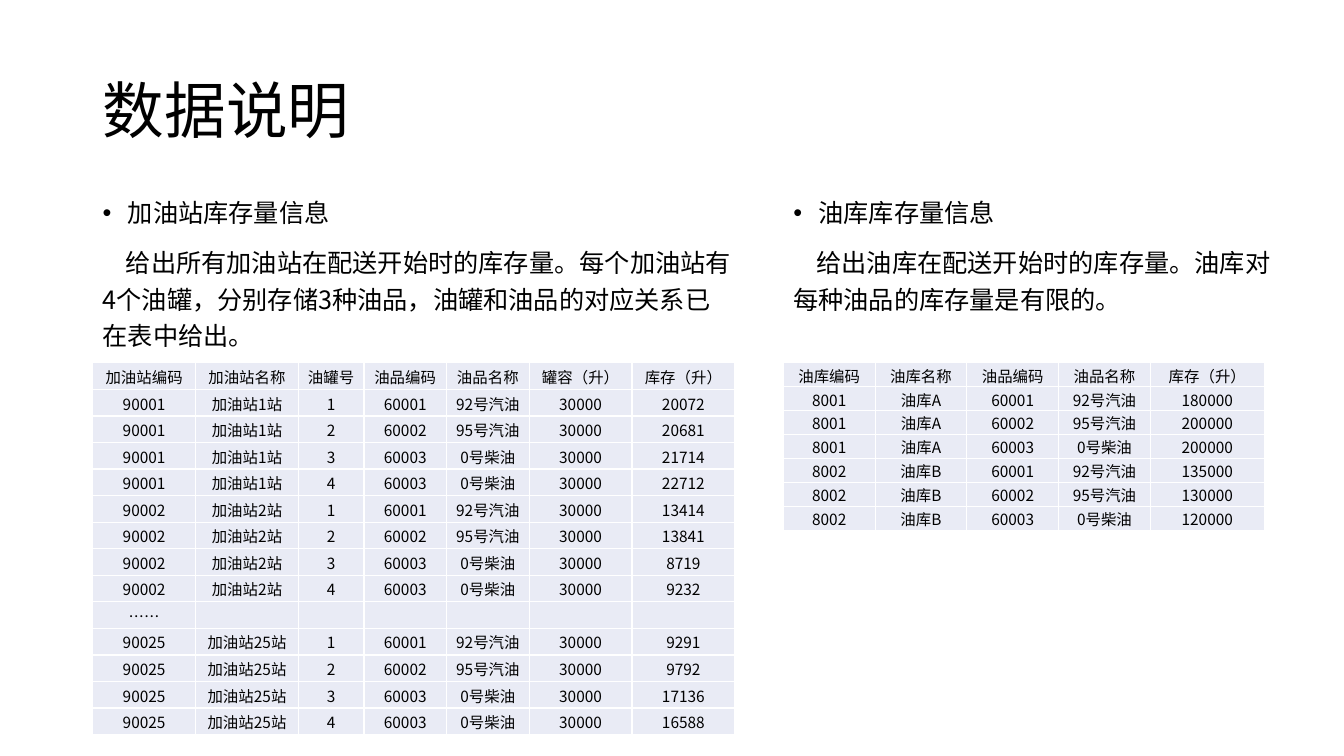
from dataclasses import dataclass

from lxml.etree import SubElement
from pptx import Presentation
from pptx.dml.color import RGBColor
from pptx.enum.text import MSO_ANCHOR, MSO_AUTO_SIZE, PP_ALIGN
from pptx.oxml.ns import qn
from pptx.slide import Slide
from pptx.table import _Cell
from pptx.text.text import _Paragraph
from pptx.util import Inches, Pt

FONT = "Noto Sans CJK SC"
BLACK = RGBColor(0x00, 0x00, 0x00)
WHITE = RGBColor(0xFF, 0xFF, 0xFF)
CELL_FILL = RGBColor(0xE9, 0xEB, 0xF5)
TEXT_TOP = 1.85
TABLE_TOP = 3.6
CELL_SIZE = 11

# Product code and name
GASOLINE_92 = ("60001", "92号汽油")
GASOLINE_95 = ("60002", "95号汽油")
DIESEL = ("60003", "0号柴油")
TANK_PRODUCTS = [GASOLINE_92, GASOLINE_95, DIESEL, DIESEL]
DEPOT_PRODUCTS = [GASOLINE_92, GASOLINE_95, DIESEL]


@dataclass
class Section:
    heading: str
    description: str
    left: float
    text_width: float
    text_height: float
    table_height: float
    column_widths: list[float]
    rows: list[list[str]]


def station_rows(number: int, stocks: list[int]) -> list[list[str]]:
    return [
        [str(90000 + number), f"加油站{number}站", str(tank), *product, "30000", str(stock)]
        for tank, (product, stock) in enumerate(zip(TANK_PRODUCTS, stocks), start=1)
    ]


def depot_rows(code: str, name: str, stocks: list[int]) -> list[list[str]]:
    return [
        [code, name, *product, str(stock)]
        for product, stock in zip(DEPOT_PRODUCTS, stocks)
    ]


SECTIONS = [
    Section(
        "加油站库存量信息",
        "给出所有加油站在配送开始时的库存量。每个加油站有4个油罐，分别存储3种油品，"
        "油罐和油品的对应关系已在表中给出。",
        0.92, 6.45, 2.54, 3.69,
        [1.02, 1.02, 0.65, 0.82, 0.82, 1.02, 1.02],
        [
            ["加油站编码", "加油站名称", "油罐号", "油品编码", "油品名称", "罐容（升）", "库存（升）"],
            *station_rows(1, [20072, 20681, 21714, 22712]),
            *station_rows(2, [13414, 13841, 8719, 9232]),
            ["……"] + [""] * 6,
            *station_rows(25, [9291, 9792, 17136, 16588]),
        ],
    ),
    Section(
        "油库库存量信息",
        "给出油库在配送开始时的库存量。油库对每种油品的库存量是有限的。",
        7.77, 5.15, 1.61, 1.66,
        [0.91, 0.91, 0.91, 0.91, 1.13],
        [
            ["油库编码", "油库名称", "油品编码", "油品名称", "库存（升）"],
            *depot_rows("8001", "油库A", [180000, 200000, 200000]),
            *depot_rows("8002", "油库B", [135000, 130000, 120000]),
        ],
    ),
]


def format_runs(para: _Paragraph, size: float) -> None:
    for span in para.runs:
        span.font.size = Pt(size)
        span.font.color.rgb = BLACK
        span.font.name = FONT
        SubElement(span.font._element, qn("a:ea"), typeface=FONT)


def set_indent(para: _Paragraph, margin: float, first_line: float) -> None:
    properties = para._p.get_or_add_pPr()
    properties.set("marL", str(Inches(margin)))
    properties.set("indent", str(Inches(first_line)))


def add_title(slide: Slide, text: str) -> None:
    title = slide.shapes.title
    title.left, title.top = Inches(0.92), Inches(0.4)
    title.width, title.height = Inches(11.5), Inches(1.45)
    frame = title.text_frame
    frame.text = text
    frame.auto_size = MSO_AUTO_SIZE.NONE
    frame.vertical_anchor = MSO_ANCHOR.MIDDLE
    para = frame.paragraphs[0]
    para.alignment = PP_ALIGN.LEFT
    para.line_spacing = 0.9
    format_runs(para, 44)


def add_section_text(slide: Slide, section: Section) -> None:
    box = slide.shapes.add_textbox(
        Inches(section.left), Inches(TEXT_TOP),
        Inches(section.text_width), Inches(section.text_height),
    )
    frame = box.text_frame
    frame.word_wrap = True
    frame.text = f"{section.heading}\n{section.description}"
    for para in frame.paragraphs:
        para.line_spacing = 1.2
        para.space_before = Pt(10)
        format_runs(para, 18)

    heading, description = frame.paragraphs
    set_indent(heading, 0.25, -0.25)
    properties = heading._p.get_or_add_pPr()
    SubElement(properties, qn("a:buFont"), typeface="Arial")
    SubElement(properties, qn("a:buChar"), char="•")
    set_indent(description, 0, 0.23)


def format_cell(cell: _Cell, text: str) -> None:
    cell.text = text
    cell.vertical_anchor = MSO_ANCHOR.MIDDLE
    cell.margin_left = cell.margin_right = cell.margin_top = Inches(0.01)
    cell.margin_bottom = 0
    para = cell.text_frame.paragraphs[0]
    para.alignment = PP_ALIGN.CENTER
    format_runs(para, CELL_SIZE)
    if not text:
        # Keeps an empty cell from stretching its row
        SubElement(para._p, qn("a:endParaRPr"), sz=str(CELL_SIZE * 100))

    properties = cell._tc.get_or_add_tcPr()
    for side in ("lnL", "lnR", "lnT", "lnB"):
        border = SubElement(properties, qn(f"a:{side}"), w=str(Pt(1)))
        fill = SubElement(border, qn("a:solidFill"))
        SubElement(fill, qn("a:srgbClr"), val=str(WHITE))
    cell.fill.solid()
    cell.fill.fore_color.rgb = CELL_FILL


def add_section_table(slide: Slide, section: Section) -> None:
    table = slide.shapes.add_table(
        len(section.rows), len(section.column_widths),
        Inches(section.left), Inches(TABLE_TOP),
        Inches(sum(section.column_widths)), Inches(section.table_height),
    ).table
    table.first_row = False
    table.horz_banding = False
    for column, width in zip(table.columns, section.column_widths):
        column.width = Inches(width)
    for row, values in zip(table.rows, section.rows):
        for cell, value in zip(row.cells, values):
            format_cell(cell, value)


def main() -> None:
    deck = Presentation()
    deck.slide_width, deck.slide_height = Inches(13.33), Inches(7.5)
    page = deck.slides.add_slide(deck.slide_layouts[5])

    add_title(page, "数据说明")
    for section in SECTIONS:
        add_section_text(page, section)
        add_section_table(page, section)

    deck.save("out.pptx")


if __name__ == "__main__":
    main()
